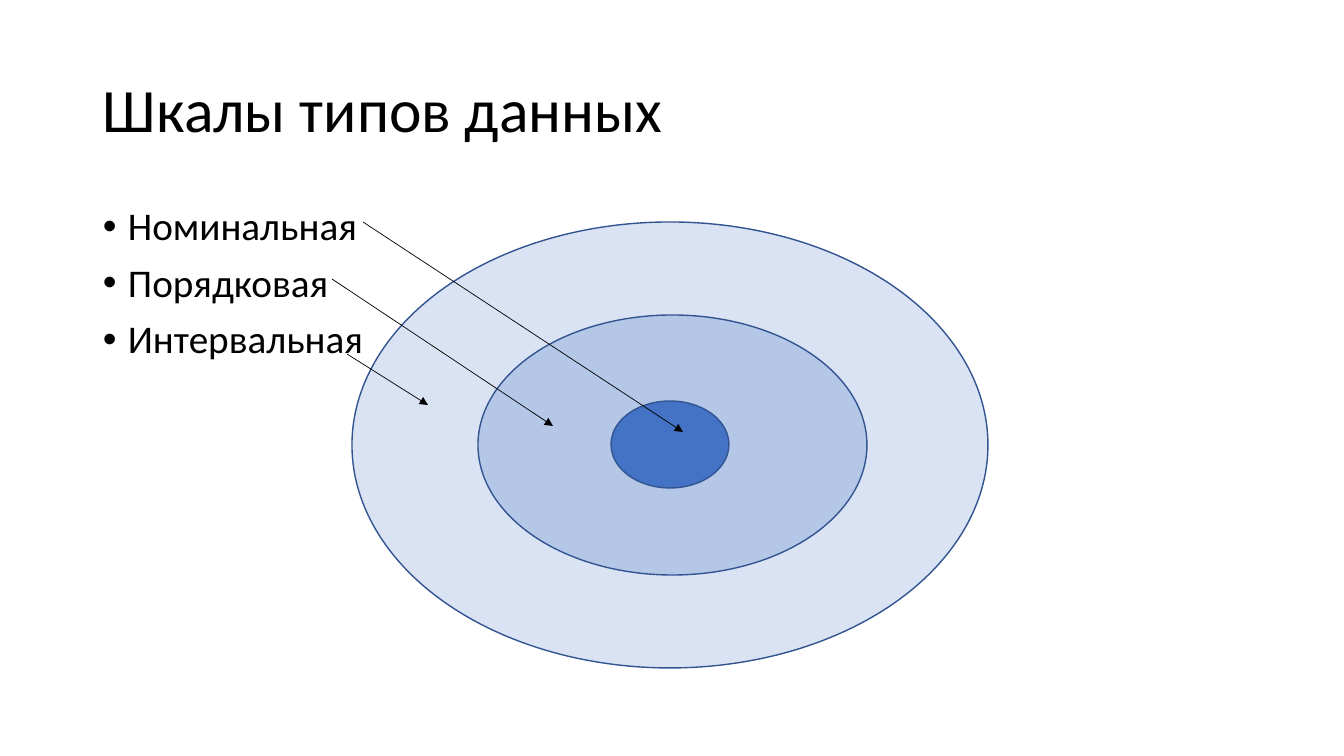
from lxml import etree
from pptx import Presentation
from pptx.dml.color import RGBColor
from pptx.enum.shapes import MSO_CONNECTOR, MSO_SHAPE
from pptx.enum.text import MSO_ANCHOR
from pptx.oxml.ns import qn
from pptx.util import Emu, Pt

LINE = MSO_CONNECTOR.STRAIGHT
OVAL = MSO_SHAPE.OVAL
MIDDLE = MSO_ANCHOR.MIDDLE
TOP = MSO_ANCHOR.TOP

BLACK = RGBColor(0, 0, 0)
EDGE = RGBColor(0x32, 0x54, 0x91)
PALE = RGBColor(0xDA, 0xE3, 0xF3)
MID = RGBColor(0xB4, 0xC7, 0xE7)
DEEP = RGBColor(0x44, 0x72, 0xC4)

FONT = "Calibri"
SCALE = 914400 / 100.8
INDENT = 25

TITLE = "Шкалы типов данных"
SCALES = ["Номинальная", "Порядковая", "Интервальная"]
RINGS = [
    (0, 0, 636, 446, PALE),
    (126, 93, 389, 260, MID),
    (259, 179, 118, 87, DEEP),
]
ARROWS = [
    (11, 0, 331, 210),
    (-20, 57, 201, 204),
    (-5, 132, 76, 183),
]


def px(*values):
    return [Emu(round(v * SCALE)) for v in values]


def add_text(slide, box, lines, size, anchor):
    frame = slide.shapes.add_textbox(*px(*box)).text_frame
    frame.word_wrap = True
    frame.vertical_anchor = anchor
    frame.text = "\n".join(lines)
    for para in frame.paragraphs:
        para.line_spacing = 0.9
        para.font.name = FONT
        para.font.size = Pt(size)
        para.font.color.rgb = BLACK
    return frame.paragraphs


def add_list(slide, box, lines):
    for para in add_text(slide, box, lines, 28, TOP):
        para.space_before = Pt(10)
        props = para._p.get_or_add_pPr()
        step = px(INDENT)[0]
        props.set("marL", str(step))
        props.set("indent", str(-step))
        face = etree.Element(qn("a:buFont"), typeface="Arial")
        mark = etree.Element(qn("a:buChar"), char="•")
        spot = props.index(props.find(qn("a:defRPr")))
        props[spot:spot] = [face, mark]


def add_rings(slide, box):
    left, top = box
    for x, y, wide, high, fill in RINGS:
        ring = slide.shapes.add_shape(OVAL, *px(left + x, top + y, wide, high))
        ring.shadow.inherit = False
        ring.fill.solid()
        ring.fill.fore_color.rgb = fill
        ring.line.color.rgb = EDGE
        ring.line.width = Pt(1)


def add_arrows(slide, box):
    left, top = box
    for x1, y1, x2, y2 in ARROWS:
        ends = px(left + x1, top + y1, left + x2, top + y2)
        arrow = slide.shapes.add_connector(LINE, *ends)
        arrow.line.color.rgb = BLACK
        arrow.line.width = Pt(0.5)
        etree.SubElement(arrow.line._get_or_add_ln(), qn("a:tailEnd"), type="triangle")
        etree.SubElement(arrow._element.spPr, qn("a:effectLst"))


def build(deck):
    slide = deck.slides.add_slide(deck.slide_layouts[6])
    add_text(slide, (93, 40, 1159, 146), [TITLE], 44, MIDDLE)
    add_list(slide, (93, 202, 1159, 480), SCALES)
    rings = (352, 222)
    add_rings(slide, rings)
    add_arrows(slide, rings)


deck = Presentation()
deck.slide_width, deck.slide_height = px(1344, 756)
build(deck)
deck.save("out.pptx")
